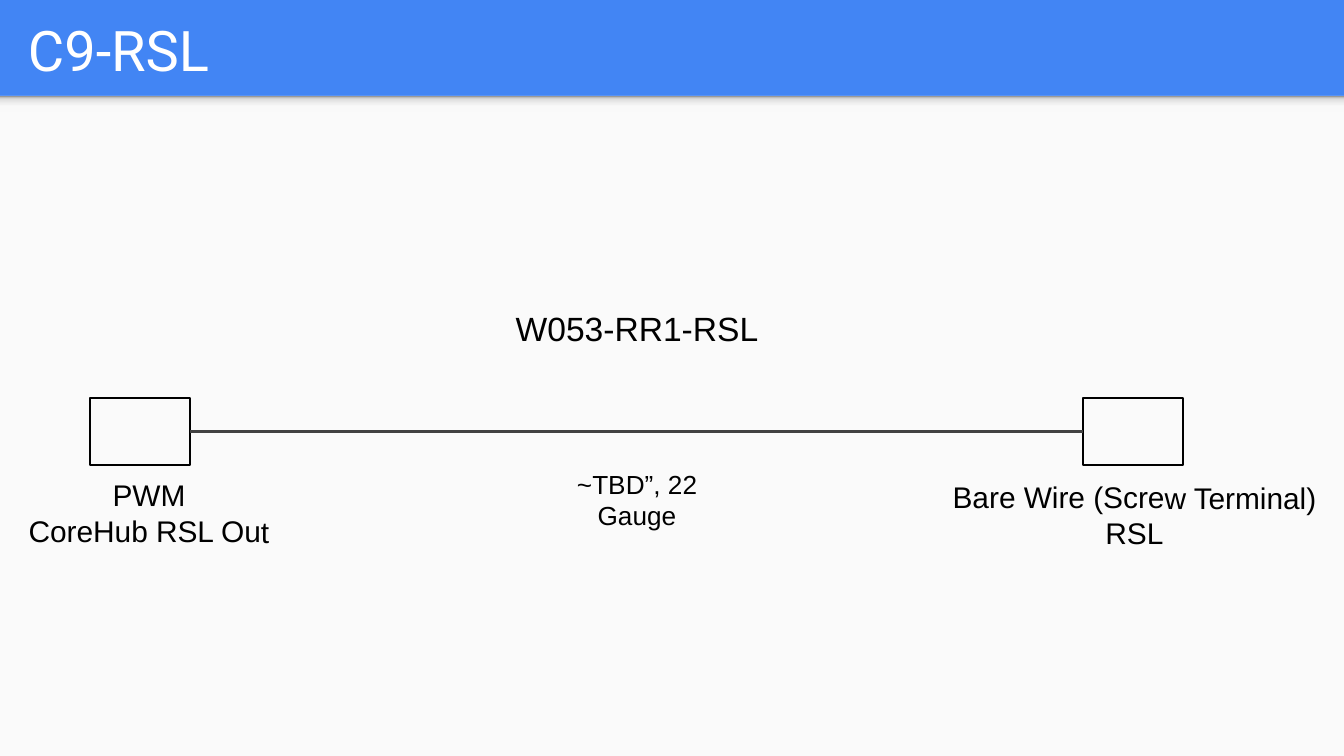
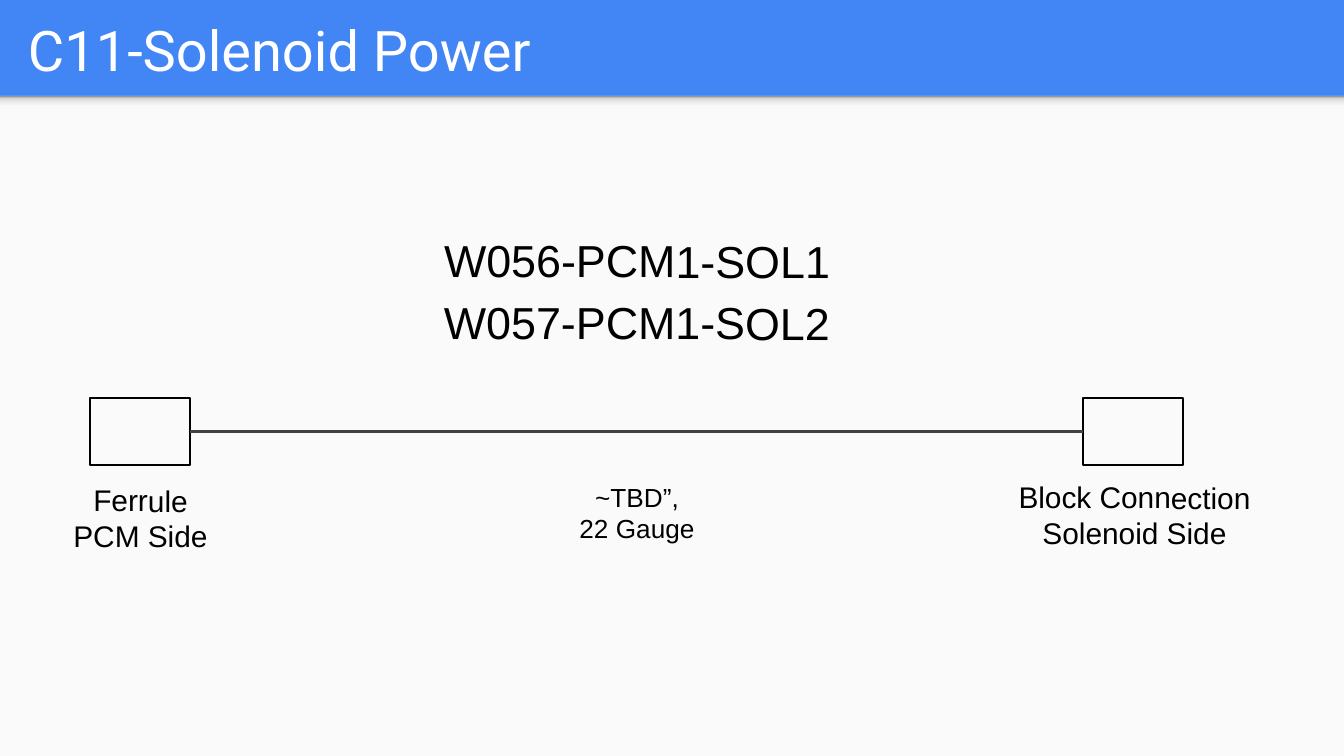
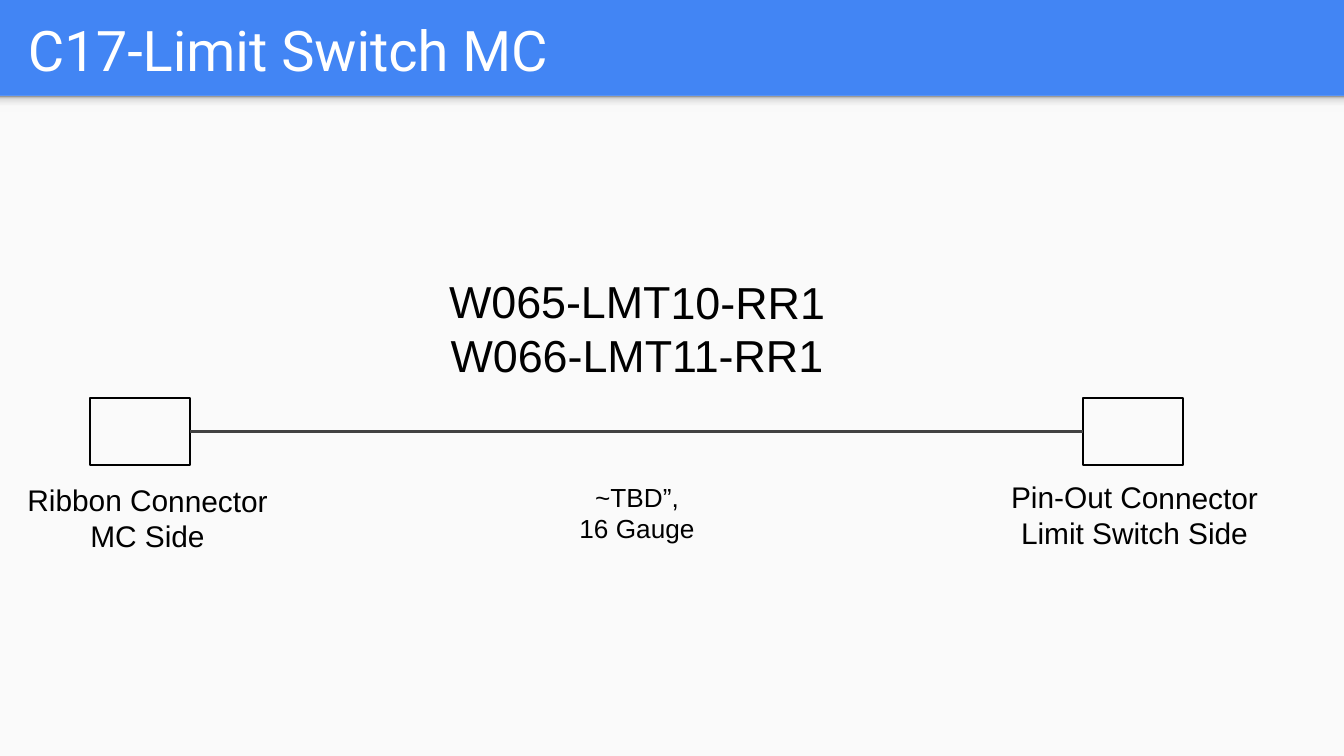
from dataclasses import dataclass

from lxml.etree import SubElement
from pptx import Presentation
from pptx.dml.color import RGBColor
from pptx.enum.shapes import MSO_CONNECTOR, MSO_SHAPE
from pptx.enum.text import MSO_ANCHOR, PP_ALIGN
from pptx.oxml.ns import qn
from pptx.util import Pt

SCALE = 914400 / 134.4  # EMU in one px


@dataclass(frozen=True)
class Theme:
    blue: str = "4285F4"
    paper: str = "FAFAFA"
    white: str = "FFFFFF"
    ink: str = "000000"
    wire: str = "424242"
    fade: tuple = ((0, "F9F9F9"), (36, "F9F9F9"), (80, "DEDEDE"), (100, "999999"))
    head: str = "Roboto"
    body: str = "Arial"
    title: int = 30
    end: int = 16
    gauge: int = 14
    tilt: float = 0.1


theme = Theme()


def px(*nums):
    return [round(num * SCALE) for num in nums]


def add_text(slide, area, lines, size, font=theme.body, color=theme.ink,
             align=PP_ALIGN.CENTER, tilt=theme.tilt, space=1.0):
    box = slide.shapes.add_textbox(*px(*area))
    box.rotation = tilt
    frame = box.text_frame
    frame.word_wrap = True
    frame.vertical_anchor = MSO_ANCHOR.MIDDLE
    frame.margin_left = frame.margin_right = px(13)[0]
    frame.margin_top = frame.margin_bottom = px(13)[0]
    for i, line in enumerate(lines):
        para = frame.paragraphs[0] if i == 0 else frame.add_paragraph()
        para.alignment = align
        para.line_spacing = space
        run = para.add_run()
        run.text = line
        run.font.name = font
        run.font.size = Pt(size)
        run.font.color.rgb = RGBColor.from_string(color)


# One entry per cable: each text is (area, lines), the wires add size and spacing
cables = [
    dict(title="C9-RSL",
         left=((8, 476, 282, 74), ["PWM", "CoreHub RSL Out"]),
         right=["Bare Wire (Screw Terminal)", "RSL"],
         gauge=(69, ["~TBD”, 22 Gauge"]),
         wires=(276, ["W053-RR1-RSL"], 18, 1.0)),
    dict(title="C11-Solenoid Power",
         left=((7, 465, 267, 106), ["Ferrule", "PCM Side"]),
         right=["Block Connection", "Solenoid Side"],
         gauge=(95, ["~TBD”,", "22 Gauge"]),
         wires=(235, ["W056-PCM1-SOL1", "W057-PCM1-SOL2"], 24, 1.15)),
    dict(title="C17-Limit Switch MC",
         left=((7, 465, 281, 106), ["Ribbon Connector", "MC Side"]),
         right=["Pin-Out Connector", "Limit Switch Side"],
         gauge=(95, ["~TBD”,", "16 Gauge"]),
         wires=(276, ["W065-LMT10-RR1", "W066-LMT11-RR1"], 24, 1.0)),
]

deck = Presentation()
deck.slide_width, deck.slide_height = px(1344, 756)

for cable in cables:
    slide = deck.slides.add_slide(deck.slide_layouts[6])
    shapes = slide.shapes

    # Blue ground with a light panel
    ground = slide.background.fill
    ground.solid()
    ground.fore_color.rgb = RGBColor.from_string(theme.blue)
    panel = shapes.add_shape(MSO_SHAPE.RECTANGLE, *px(0, 96, 1344, 660))
    panel.shadow.inherit = False
    panel.fill.solid()
    panel.fill.fore_color.rgb = RGBColor.from_string(theme.paper)
    panel.line.fill.background()

    # Soft shade under the title band
    shade = shapes.add_shape(MSO_SHAPE.RECTANGLE, *px(0, 96, 1344, 16))
    shade.shadow.inherit = False
    shade.line.fill.background()
    shade.fill.gradient()
    shade.fill.gradient_angle = 90
    stops = shade.element.spPr.find(".//" + qn("a:gsLst"))
    for stop in list(stops):
        stops.remove(stop)
    for place, color in theme.fade:
        stop = SubElement(stops, qn("a:gs"), pos=str(place * 1000))
        SubElement(stop, qn("a:srgbClr"), val=color)

    # Title
    add_text(slide, (15, 5, 1297, 89), [cable["title"]], theme.title,
             theme.head, theme.white, PP_ALIGN.LEFT, 0)

    # Plugs at both ends
    plugs = []
    for x in (90, 1083):
        plug = shapes.add_shape(MSO_SHAPE.RECTANGLE, *px(x, 398, 100, 67))
        plug.shadow.inherit = False
        plug.fill.background()
        plug.line.color.rgb = RGBColor.from_string(theme.ink)
        plug.line.width = Pt(0.75)
        plugs.append(plug)

    # Wire between the plugs
    wire = shapes.add_connector(MSO_CONNECTOR.STRAIGHT, *px(190, 431, 1083, 431))
    wire.begin_connect(plugs[0], 3)
    wire.end_connect(plugs[1], 1)
    wire.line.color.rgb = RGBColor.from_string(theme.wire)
    wire.line.width = Pt(1.5)
    SubElement(wire.element.spPr, qn("a:effectLst"))

    # Labels
    area, lines = cable["left"]
    add_text(slide, area, lines, theme.end)
    add_text(slide, (933, 487, 403, 56), cable["right"], theme.end)
    height, lines = cable["gauge"]
    add_text(slide, (553, 465, 168, height), lines, theme.gauge)
    top, lines, size, space = cable["wires"]
    add_text(slide, (284, top, 706, 104), lines, size, space=space)

deck.save("out.pptx")
